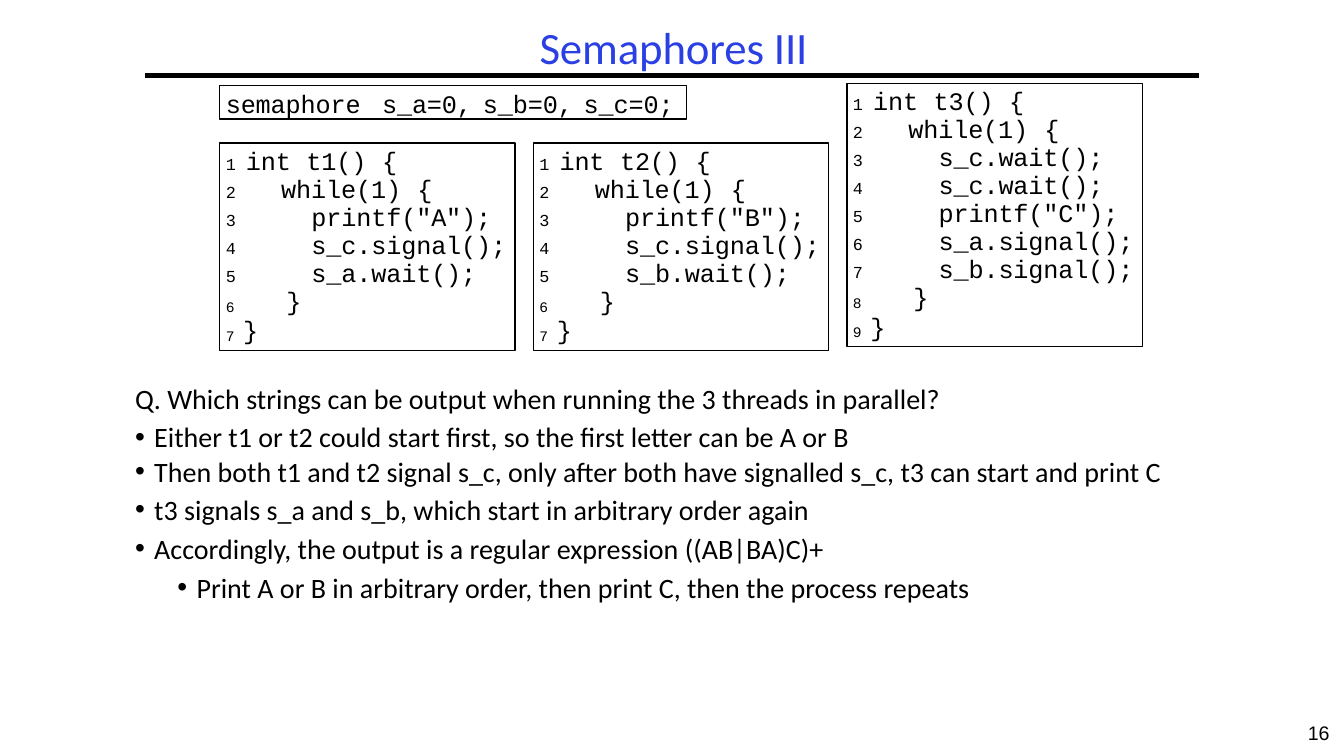
from lxml import etree
from pptx import Presentation
from pptx import util as u
from pptx.dml.color import RGBColor
from pptx.enum import shapes, text
from pptx.oxml.ns import qn

BLACK = "000000"
MONO = "Courier New"
THREADS = [
    (2.18, 1.42, 2.06, "t1", ['printf("A");', "s_c.signal();", "s_a.wait();"]),
    (5.29, 1.42, 2.06, "t2", ['printf("B");', "s_c.signal();", "s_b.wait();"]),
    (8.4, 0.83, 2.61, "t3", ["s_c.wait();", "s_c.wait();", 'printf("C");',
                             "s_a.signal();", "s_b.signal();"]),
]
QUESTION = "Q. Which strings can be output when running the 3 threads in parallel?"
ANSWERS = [
    ("Either t1 or t2 could start first, so the first letter can be A or B", 0, 3.7, None),
    ("Then both t1 and t2 signal s_c, only after both have signalled s_c, "
     "t3 can start and print C", 0, 4.7, 20),
    ("t3 signals s_a and s_b, which start in arbitrary order again", 0, 3.1, None),
    ("Accordingly, the output is a regular expression ((AB|BA)C)+", 0, 3.7, None),
    ("Print A or B in arbitrary order, then print C, then the process repeats", 1, 3.8, None),
]


def color(value):
    return RGBColor.from_string(value)


def add_child(parent, tag, **attributes):
    child = etree.SubElement(parent, qn(tag))
    for key, value in attributes.items():
        child.set(key, str(value))
    return child


def set_indent(paragraph, left, first=0, tabs=()):
    props = paragraph._p.get_or_add_pPr()
    props.set("marL", str(u.Inches(left)))
    props.set("indent", str(u.Inches(first)))
    if tabs:
        stops = add_child(props, "a:tabLst")
        for stop in tabs:
            add_child(stops, "a:tab", pos=u.Inches(stop), algn="l")


def add_number(paragraph):
    props = paragraph._p.get_or_add_pPr()
    add_child(props, "a:buSzPct", val=67000)
    add_child(props, "a:buFont", typeface=MONO)
    add_child(props, "a:buAutoNum", type="arabicPlain")


def add_bullet(paragraph):
    props = paragraph._p.get_or_add_pPr()
    add_child(props, "a:buFont", typeface="Arial")
    add_child(props, "a:buChar", char="•")


def format_runs(paragraph, size, font, fill=BLACK, spacing=0):
    for run in paragraph.runs:
        run.font.size = u.Pt(size)
        run.font.name = font
        run.font.color.rgb = color(fill)
        run.font._element.set("spc", str(spacing))


def set_frame(frame, top, anchor=text.MSO_ANCHOR.TOP):
    frame.margin_left = frame.margin_right = frame.margin_bottom = 0
    frame.margin_top = u.Inches(top)
    frame.vertical_anchor = anchor
    frame.word_wrap = True
    frame.auto_size = text.MSO_AUTO_SIZE.NONE


def next_paragraph(frame, index):
    return frame.add_paragraph() if index else frame.paragraphs[0]


def add_code_box(slide, left, top, width, height):
    box = slide.shapes.add_shape(shapes.MSO_SHAPE.RECTANGLE, u.Inches(left), u.Inches(top),
                                 u.Inches(width), u.Inches(height))
    box.shadow.inherit = False
    box.fill.background()
    box.line.color.rgb = color(BLACK)
    box.line.width = u.Pt(1)
    set_frame(box.text_frame, 0.03)
    return box.text_frame


def add_title(slide, left, top, width, height):
    title = slide.shapes.title
    title.left, title.top = u.Inches(left), u.Inches(top)
    title.width, title.height = u.Inches(width), u.Inches(height)
    title.text_frame.text = "Semaphores III"
    set_frame(title.text_frame, 0.01, text.MSO_ANCHOR.MIDDLE)
    heading = title.text_frame.paragraphs[0]
    heading.alignment = text.PP_ALIGN.CENTER
    set_indent(heading, 0.01)
    format_runs(heading, 32, "Calibri", "2A40E2", -10)

    rule = slide.shapes.add_connector(shapes.MSO_CONNECTOR.STRAIGHT, u.Inches(left),
                                      u.Inches(0.75), u.Inches(11.89), u.Inches(0.75))
    rule.line.color.rgb = color(BLACK)
    rule.line.width = u.Pt(3)
    add_child(rule._element.spPr, "a:effectLst")


def add_declaration(slide, left, top, width, height):
    declaration = add_code_box(slide, left, top, width, height).paragraphs[0]
    declaration.text = "semaphore\ts_a=0,\ts_b=0,\ts_c=0;"
    declaration.alignment = text.PP_ALIGN.LEFT
    set_indent(declaration, 1.61, -1.55, (1.61, 2.66, 3.71))
    format_runs(declaration, 18, MONO, spacing=-10)


def add_thread(slide, left, top, height, name, calls):
    frame = add_code_box(slide, left, top, 2.93, height)
    numbered = [(f"int\t{name}()\t{{", 0.26, (0.26, 0.86, 1.61)),
                ("while(1)\t{", 0.61, (0.61, 1.96))]
    numbered += [(call, 0.91, (0.91,)) for call in calls]
    for index, (code, indent, tabs) in enumerate(numbered):
        line = next_paragraph(frame, index)
        line.text = code
        add_number(line)
        set_indent(line, indent, 0.06 - indent, tabs)
        line.line_spacing = u.Pt(20 if index else 20.8)

    last = len(numbered) + 1
    closing = ((last, "\t", 0.66, (0.66,), 20), (last + 1, " ", 0.06, (), 20.8))
    for number, gap, indent, tabs, spacing in closing:
        line = frame.add_paragraph()
        label, brace = line.add_run(), line.add_run()
        label.text, brace.text = f"{number}{gap}", "}"
        label.font._element.set("baseline", "-7000")
        set_indent(line, indent, 0.06 - indent, tabs)
        line.line_spacing = u.Pt(spacing)

    for line in frame.paragraphs:
        line.alignment = text.PP_ALIGN.LEFT
        format_runs(line, 18, MONO, spacing=-10)


def add_discussion(slide, left, top, width, height):
    box = slide.shapes.add_textbox(u.Inches(left), u.Inches(top),
                                   u.Inches(width), u.Inches(height))
    frame = box.text_frame
    set_frame(frame, 0.06)
    frame.text = QUESTION
    set_indent(frame.paragraphs[0], 0.01)
    for answer, level, before, spacing in ANSWERS:
        point = frame.add_paragraph()
        point.text = answer
        point.level = level
        add_bullet(point)
        indent = 0.62 if level else 0.2
        set_indent(point, indent, -0.19, (indent,))
        point.space_before = u.Pt(before)
        if spacing:
            point.line_spacing = u.Pt(spacing)
    for point in frame.paragraphs:
        format_runs(point, 20, "Calibri")


def add_page_number(slide, left, top, width, height):
    box = slide.shapes.add_textbox(u.Inches(left), u.Inches(top),
                                   u.Inches(width), u.Inches(height))
    box.text_frame.word_wrap = True
    box.text_frame.text = "16"
    number = box.text_frame.paragraphs[0]
    number.alignment = text.PP_ALIGN.CENTER
    format_runs(number, 14, "Arial")


def main():
    deck = Presentation()
    deck.slide_width, deck.slide_height = u.Inches(13.33), u.Inches(7.5)
    slide = deck.slides.add_slide(deck.slide_layouts[5])
    add_title(slide, 1.44, 0.18, 10.47, 0.55)
    add_discussion(slide, 1.33, 3.72, 10.67, 2.31)
    for thread in THREADS:
        add_thread(slide, *thread)
    add_declaration(slide, 2.18, 0.85, 4.63, 0.33)
    add_page_number(slide, 12.83, 7.1, 0.5, 0.4)
    deck.save("out.pptx")


if __name__ == "__main__":
    main()
